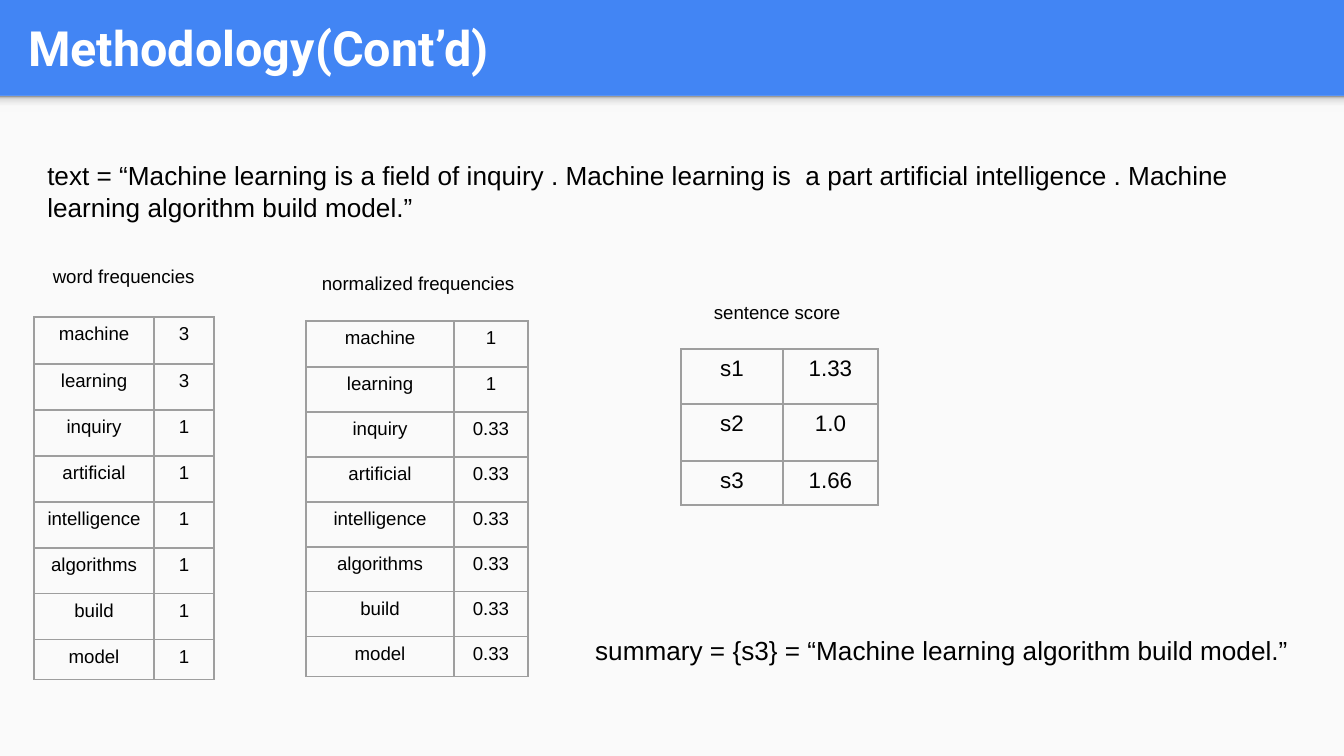
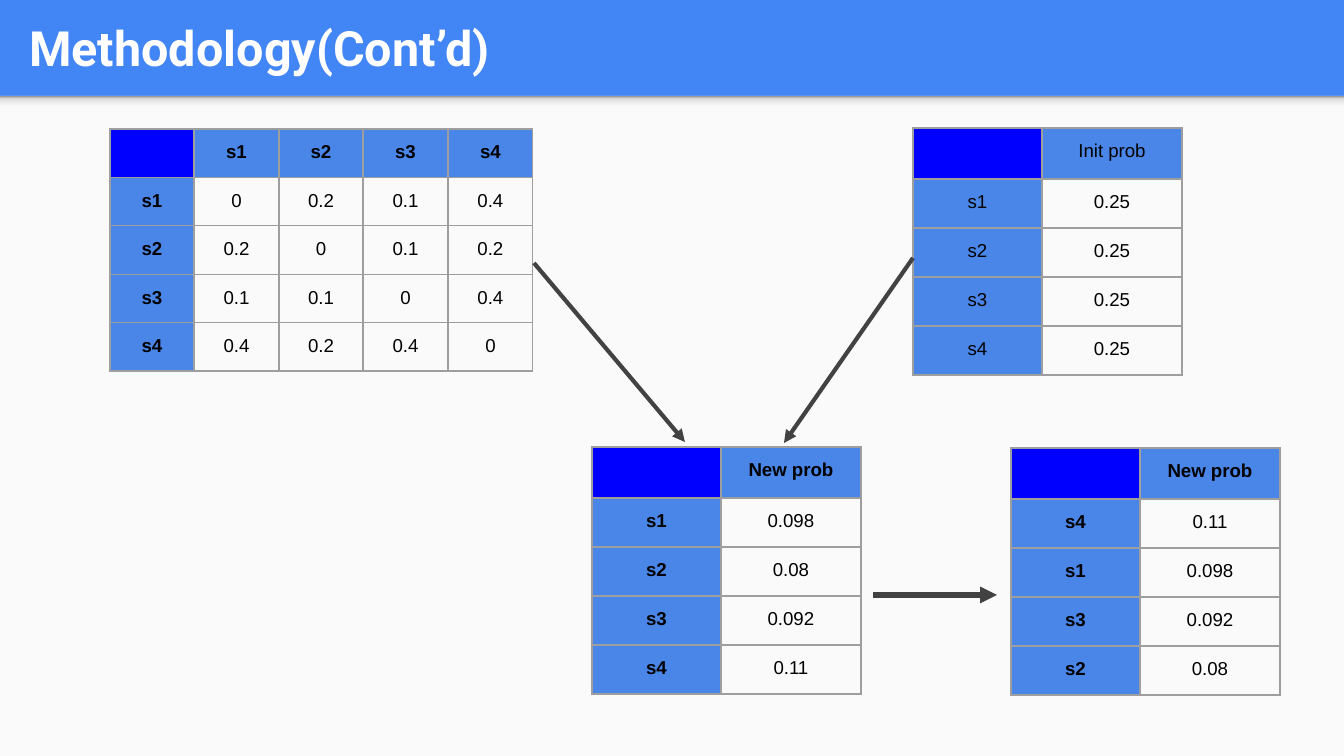
from copy import deepcopy

from pptx import Presentation
from pptx.dml.color import RGBColor
from pptx.enum.shapes import MSO_CONNECTOR, MSO_SHAPE
from pptx.enum.text import MSO_ANCHOR, PP_ALIGN
from pptx.oxml import parse_xml
from pptx.oxml.ns import nsdecls, qn
from pptx.util import Emu, Pt

SCALE = 914400 / 134.4
WIDE, HIGH, BAND = 1344, 756, 96
BLUE = RGBColor(0x42, 0x85, 0xF4)
HEAD = RGBColor(0x4A, 0x86, 0xE8)
DEEP = RGBColor(0x00, 0x00, 0xFF)
PAPER = RGBColor(0xFA, 0xFA, 0xFA)
PALE = RGBColor(0xF9, 0xF9, 0xF9)
MIST = RGBColor(0xDE, 0xDE, 0xDE)
GREY = RGBColor(0x99, 0x99, 0x99)
RULE = RGBColor(0x9E, 0x9E, 0x9E)
DARK = RGBColor(0x42, 0x42, 0x42)
BLACK = RGBColor(0, 0, 0)
WHITE = RGBColor(0xFF, 0xFF, 0xFF)

SHADE = [(0, PALE), (0.36, PALE), (0.8, MIST), (1, GREY)]
WORDS = ["machine", "learning", "inquiry", "artificial",
         "intelligence", "algorithms", "build", "model"]
COUNTS = ["3", "3"] + ["1"] * 6
NORMS = ["1", "1"] + ["0.33"] * 6
SCORES = [("s1", "1.33"), ("s2", "1.0"), ("s3", "1.66")]
LINKS = [
    ["", "s1", "s2", "s3", "s4"],
    ["s1", "0", "0.2", "0.1", "0.4"],
    ["s2", "0.2", "0", "0.1", "0.2"],
    ["s3", "0.1", "0.1", "0", "0.4"],
    ["s4", "0.4", "0.2", "0.4", "0"],
]
START = [("s1", "0.25"), ("s2", "0.25"), ("s3", "0.25"), ("s4", "0.25")]
FRESH = [("s1", "0.098"), ("s2", "0.08"), ("s3", "0.092"), ("s4", "0.11")]
RANKED = sorted(FRESH, key=lambda row: float(row[1]), reverse=True)


def px(*sizes):
    """Turn pixel lengths into EMU."""
    return [Emu(round(size * SCALE)) for size in sizes]


def style(para, size, color=BLACK, bold=False, face="Arial"):
    """Set the font of a paragraph."""
    font = para.font
    font.name, font.size, font.bold = face, Pt(size), bold
    font.color.rgb = color


def add_bar(slide, top, height):
    """Add a full-width bar without outline and return it."""
    bar = slide.shapes.add_shape(MSO_SHAPE.RECTANGLE, *px(0, top, WIDE, height))
    bar.shadow.inherit = False
    bar.line.fill.background()
    return bar


def add_text(slide, box, text, size, center=False):
    """Add a wrapped text box and return its frame."""
    frame = slide.shapes.add_textbox(*px(*box)).text_frame
    frame.word_wrap = True
    para = frame.paragraphs[0]
    para.text = text
    if center:
        para.alignment = PP_ALIGN.CENTER
    style(para, size)
    return frame


def add_page(deck, left):
    """Add a slide with the shared background, shade and title."""
    slide = deck.slides.add_slide(deck.slide_layouts[6])
    back = slide.background.fill
    back.solid()
    back.fore_color.rgb = BLUE
    body = add_bar(slide, BAND, HIGH - BAND)
    body.fill.solid()
    body.fill.fore_color.rgb = PAPER
    fade = add_bar(slide, BAND, 16)
    fade.fill.gradient()
    fade.fill.gradient_angle = 90
    stops = fade.element.spPr.find(".//" + qn("a:gsLst"))
    for stop in list(stops):
        stops.append(deepcopy(stop))
    for stop, (place, color) in zip(fade.fill.gradient_stops, SHADE):
        stop.position = place
        stop.color.rgb = color
    frame = add_text(slide, (left, 3, 1297, 89), "Methodology(Cont’d)", 26)
    frame.vertical_anchor = MSO_ANCHOR.MIDDLE
    style(frame.paragraphs[0], 26, WHITE, True, "Roboto")
    return slide


def edge(cell):
    """Draw thin grey borders around a cell."""
    for side in ("lnL", "lnR", "lnT", "lnB"):
        cell._tc.get_or_add_tcPr().append(parse_xml(
            f'<a:{side} {nsdecls("a")} w="9525"><a:solidFill>'
            f'<a:srgbClr val="{RULE}"/></a:solidFill></a:{side}>'))


def add_grid(slide, spot, cols, rows, data, size=10, heads=False, bold=True):
    """Add a table; heads colours its first row and first column."""
    box = px(*spot, sum(cols), sum(rows))
    table = slide.shapes.add_table(len(rows), len(cols), *box).table
    table.first_row = table.horz_banding = False
    for col, width in zip(table.columns, px(*cols)):
        col.width = width
    for row, height in zip(table.rows, px(*rows)):
        row.height = height
    for i, line in enumerate(data):
        for j, text in enumerate(line):
            cell = table.cell(i, j)
            label = heads and 0 in (i, j)
            edge(cell)
            if label:
                cell.fill.solid()
                cell.fill.fore_color.rgb = HEAD if text else DEEP
            else:
                cell.fill.background()
            if heads:
                cell.margin_top, cell.margin_bottom = px(*[13 if text else 0] * 2)
            cell.text = text
            para = cell.text_frame.paragraphs[0]
            para.alignment = PP_ALIGN.CENTER
            style(para, size, bold=label and bold)


def add_probs(slide, spot, name, data, bold=True):
    """Add a table of sentence probabilities."""
    add_grid(slide, spot, [129, 140], [51] + [49] * 4, [("", name), *data],
             heads=True, bold=bold)


def add_arrow(slide, start, end, width=2.25):
    """Add a dark straight arrow."""
    arrow = slide.shapes.add_connector(MSO_CONNECTOR.STRAIGHT, *px(*start, *end))
    arrow.line.color.rgb = DARK
    arrow.line.width = Pt(width)
    arrow.line._get_or_add_ln().append(
        parse_xml(f'<a:tailEnd {nsdecls("a")} type="triangle"/>'))
    arrow._element.spPr.append(parse_xml(f'<a:effectLst {nsdecls("a")}/>'))


def add_counts(deck):
    """Build the slide on word frequencies."""
    slide = add_page(deck, 15)
    add_text(slide, (34, 153, 1278, 77),
             "text = “Machine learning is a field of inquiry . Machine learning is  "
             "a part artificial intelligence . Machine learning algorithm build model.”",
             14)
    add_text(slide, (34, 258, 179, 36), "word frequencies", 10, True)
    add_grid(slide, (34, 317), [120, 60], [47] + [46] * 6 + [40],
             zip(WORDS, COUNTS))
    add_text(slide, (291, 265, 254, 36), "normalized frequencies", 10, True)
    add_grid(slide, (306, 321), [148, 74], [46] + [45] * 6 + [40],
             zip(WORDS, NORMS))
    add_text(slide, (663, 294, 228, 36), "sentence score", 10, True)
    add_grid(slide, (681, 349), [102, 95], [55, 57, 44], SCORES, 12)
    add_text(slide, (582, 628, 730, 46),
             "summary = {s3} = “Machine learning algorithm build model.”", 14)


def add_ranks(deck):
    """Build the slide on sentence ranking."""
    slide = add_page(deck, 16)
    add_grid(slide, (110, 129), [84, 85, 84, 85, 85], [48] * 5, LINKS, heads=True)
    add_probs(slide, (592, 447), "New prob", FRESH)
    add_probs(slide, (913, 128), "Init prob", START, False)
    add_arrow(slide, (534, 263), (685, 442))
    add_arrow(slide, (913, 258), (784, 443))
    add_probs(slide, (1011, 448), "New prob", RANKED)
    add_arrow(slide, (873, 595), (997, 595), 3)


def main():
    """Build and save the deck."""
    deck = Presentation()
    deck.slide_width, deck.slide_height = px(WIDE, HIGH)
    add_counts(deck)
    add_ranks(deck)
    deck.save("out.pptx")


if __name__ == "__main__":
    main()
